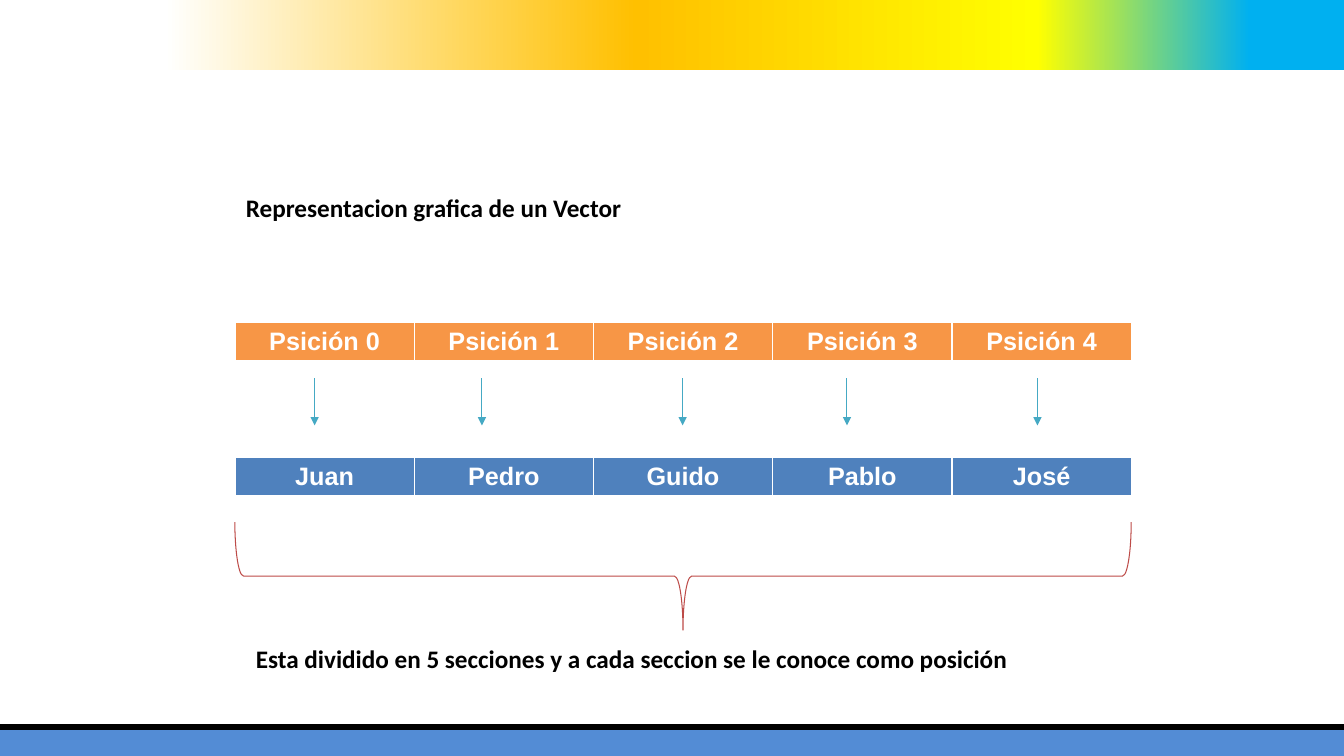
"""Draw the slide that shows a vector as five numbered cells."""
import dataclasses
import typing

import lxml.etree
import pptx
import pptx.dml.color
import pptx.dml.fill
import pptx.enum.shapes
import pptx.enum.text
import pptx.oxml.ns
import pptx.shapes.autoshape
import pptx.shapes.connector
import pptx.slide
import pptx.text.text
import pptx.util

WIDE = pptx.util.Inches(13.33)
HIGH = pptx.util.Inches(7.5)
FORMS = pptx.enum.shapes.MSO_SHAPE
ALIGN = pptx.enum.text.PP_ALIGN
WHITE, BLACK = "FFFFFF", "000000"
HEAD = {"name": "Arial", "size": pptx.util.Pt(18), "bold": True}
NOTE = {"name": "Calibri", "size": pptx.util.Pt(18), "bold": True}
FIT = {"word_wrap": True, "auto_size": pptx.enum.text.MSO_AUTO_SIZE.SHAPE_TO_FIT_TEXT}
EDGES = {"lnL": 1, "lnR": 1, "lnT": 1, "lnB": 3}
STOPS = {0: WHITE, 40: "FFC000", 74: "FFFF00", 92: "00B0F0", 100: "00B0F0"}


@dataclasses.dataclass
class Box:
    """A place in percent of the slide's width and height."""
    left: float
    top: float
    width: float
    height: float

    def place(self) -> tuple[int, int, int, int]:
        """Give the place in slide units."""
        return across(self.left), down(self.top), across(self.width), down(self.height)


@dataclasses.dataclass
class Band:
    """A one-row table."""
    box: Box
    words: list[str]
    fill: str


@dataclasses.dataclass
class Label:
    """A line of bold text."""
    box: Box
    words: str


@dataclasses.dataclass
class Stroke:
    """A straight line from start to end, in percent."""
    start: tuple[float, float]
    end: tuple[float, float]
    tint: str
    weight: float
    arrow: bool = False


BANDS = [
    Band(Box(17.48, 60.53, 66.69, 5.2), ["Juan", "Pedro", "Guido", "Pablo", "José"], "4F81BD"),
    Band(Box(17.48, 42.67, 66.69, 5.2), [f"Psición {n}" for n in range(5)], "F79646"),
]
LABELS = [
    Label(Box(17.55, 24.8, 29.71, 5.33), "Representacion grafica de un Vector"),
    Label(Box(18.3, 84.4, 57.84, 5.33),
          "Esta dividido en 5 secciones y a cada seccion se le conoce como posición"),
]
STROKES = [Stroke((0, 96.13), (100, 96.13), BLACK, 4.5)] + [
    Stroke((x, 50), (x, 56.27), "45A9C4", 0.75, True)
    for x in (23.41, 35.86, 50.79, 63.02, 77.19)
]


def across(share: float) -> int:
    """Turn a percent of the width into slide units."""
    return round(WIDE * share / 100)


def down(share: float) -> int:
    """Turn a percent of the height into slide units."""
    return round(HIGH * share / 100)


def tint(code: str) -> pptx.dml.color.RGBColor:
    """Turn a hex string into a colour."""
    return pptx.dml.color.RGBColor.from_string(code)


def paint(fill: pptx.dml.fill.FillFormat, code: str) -> None:
    """Fill with one plain colour."""
    fill.solid()
    fill.fore_color.rgb = tint(code)


def apply(target: typing.Any, values: dict[str, typing.Any]) -> None:
    """Set each format value on the target."""
    for name, value in values.items():
        setattr(target, name, value)


def add(parent: lxml.etree._Element, tag: str, **values: str) -> lxml.etree._Element:
    """Append a drawing element."""
    return lxml.etree.SubElement(parent, pptx.oxml.ns.qn(f"a:{tag}"), values)


def write(frame: pptx.text.text.TextFrame, words: str, font: dict, code: str,
          align: ALIGN) -> None:
    """Write one formatted line of text."""
    line = frame.paragraphs[0]
    line.alignment = align
    run = line.add_run()
    run.text = words
    apply(run.font, font)
    run.font.color.rgb = tint(code)


def draw_shape(slide: pptx.slide.Slide, form: FORMS, box: Box) -> pptx.shapes.autoshape.Shape:
    """Add a shape with no shadow, fill or line."""
    shape = slide.shapes.add_shape(form, *box.place())
    shape.shadow.inherit = False
    shape.fill.background()
    shape.line.fill.background()
    return shape


def draw_bars(slide: pptx.slide.Slide) -> None:
    """Add the foot bar and the blended top bar."""
    foot = draw_shape(slide, FORMS.RECTANGLE, Box(0, 96.53, 100, 3.47))
    paint(foot.fill, "538CD5")
    top = draw_shape(slide, FORMS.RECTANGLE, Box(12.23, 0, 87.77, 9.33))
    top.fill.gradient()
    top.fill.gradient_angle = 0
    stops = next(top.element.iter(pptx.oxml.ns.qn("a:gsLst")))
    for old in list(stops):
        stops.remove(old)
    for share, code in STOPS.items():
        add(add(stops, "gs", pos=str(share * 1000)), "srgbClr", val=code)


def draw_stroke(slide: pptx.slide.Slide, stroke: Stroke) -> None:
    """Add a line, with an arrowhead if asked."""
    (x1, y1), (x2, y2) = stroke.start, stroke.end
    line = slide.shapes.add_connector(pptx.enum.shapes.MSO_CONNECTOR.STRAIGHT,
                                      across(x1), down(y1), across(x2), down(y2))
    line.line.color.rgb = tint(stroke.tint)
    line.line.width = pptx.util.Pt(stroke.weight)
    if stroke.arrow:
        add(line.element.spPr.find(pptx.oxml.ns.qn("a:ln")), "tailEnd", type="triangle")
    add(line.element.spPr, "effectLst")


def draw_band(slide: pptx.slide.Slide, band: Band) -> None:
    """Add a one-row table with white borders."""
    table = slide.shapes.add_table(1, len(band.words), *band.box.place()).table
    for cell, words in zip(table.iter_cells(), band.words):
        write(cell.text_frame, words, HEAD, WHITE, ALIGN.CENTER)
        paint(cell.fill, band.fill)
        props = cell.fill._xPr
        for spot, (edge, weight) in enumerate(EDGES.items()):
            line = add(props, edge, w=str(pptx.util.Pt(weight)))
            add(add(line, "solidFill"), "srgbClr", val=WHITE)
            props.insert(spot, line)


def draw_label(slide: pptx.slide.Slide, label: Label) -> None:
    """Add a text box."""
    frame = slide.shapes.add_textbox(*label.box.place()).text_frame
    apply(frame, FIT)
    write(frame, label.words, NOTE, BLACK, ALIGN.LEFT)


def draw_brace(slide: pptx.slide.Slide) -> None:
    """Add the brace below the cells."""
    brace = draw_shape(slide, FORMS.LEFT_BRACE, Box(46.81, 16.93, 8.03, 118.53))
    brace.rotation = 270
    brace.adjustments[0] = 0.08
    brace.line.color.rgb = tint("BD4B48")
    brace.line.width = pptx.util.Pt(0.75)


def main() -> None:
    """Build and save the slide."""
    deck = pptx.Presentation()
    apply(deck, {"slide_width": WIDE, "slide_height": HIGH})
    slide = deck.slides.add_slide(deck.slide_layouts[6])
    draw_bars(slide)
    for band in BANDS:
        draw_band(slide, band)
    for stroke in STROKES:
        draw_stroke(slide, stroke)
    draw_brace(slide)
    for label in LABELS:
        draw_label(slide, label)
    deck.save("out.pptx")


if __name__ == "__main__":
    main()
